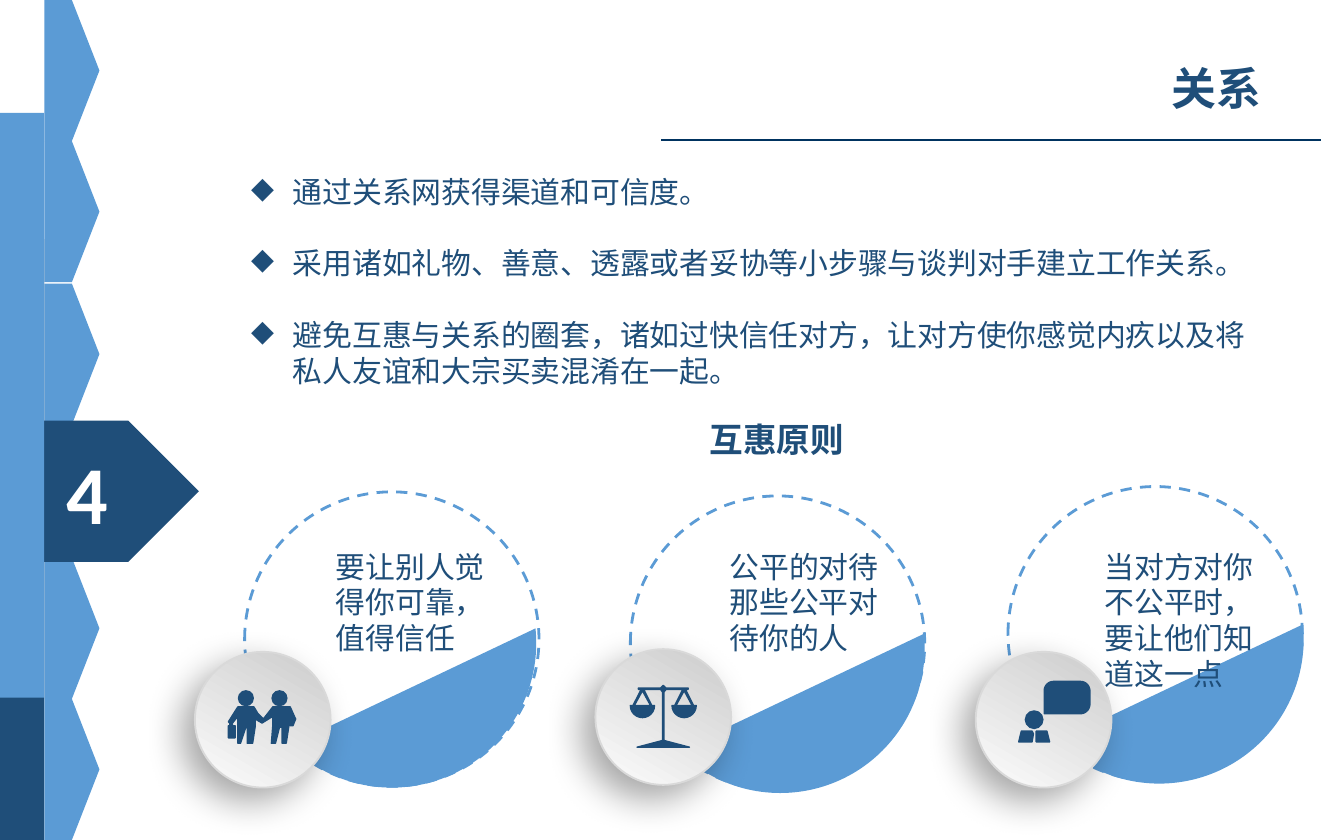
import math
import pptx
import pptx.util
import pptx.dml.color
import pptx.enum.dml
import pptx.enum.shapes
import pptx.oxml
import pptx.oxml.ns

UNIT = pptx.util.Inches(0.1)
COLS, ROWS = 100, 62.5
KIND = pptx.enum.shapes.MSO_SHAPE
HUES = {"blue": "5B9BD5", "navy": "1F4E79", "rule": "003360", "white": "FFFFFF",
        "grey": "CCCCCC", "pale": "FCFCFC", "rim": "D9D9D9", "black": "000000"}
HAN = "Noto Sans CJK SC"

CARDS = [
    {"chord": (18.4, 37.1), "ring": (18.2, 36.6), "disc": (14.5, 48.5),
     "text": (24, 9.1), "icon": "hands", "words": "要让别人觉得你可靠，值得信任"},
    {"chord": (47.3, 37.5), "ring": (46.9, 36.9), "disc": (44.3, 48.3),
     "text": (53.3, 9.1), "icon": "scale", "words": "公平的对待那些公平对待你的人"},
    {"chord": (75.5, 36.8), "ring": (75, 36.2), "disc": (72.6, 48.5),
     "text": (81.2, 11.8), "icon": "speech", "words": "当对方对你不公平时，要让他们知道这一点"},
]
POINTS = [
    "通过关系网获得渠道和可信度。",
    "采用诸如礼物、善意、透露或者妥协等小步骤与谈判对手建立工作关系。",
    "避免互惠与关系的圈套，诸如过快信任对方，让对方使你感觉内疚以及将私人友谊和大宗买卖混淆在一起。",
]


def grid(*cells):
    return [round(cell * UNIT) for cell in cells]


def hue(name):
    return pptx.dml.color.RGBColor.from_string(HUES[name])


def node(text):
    return pptx.oxml.parse_xml(text.replace(">", f" {pptx.oxml.ns.nsdecls('a')}>", 1))


def paint(item, fill=None, line=None, width=1):
    item.shadow.inherit = False
    if fill:
        item.fill.solid()
        item.fill.fore_color.rgb = hue(fill)
    else:
        item.fill.background()
    if line:
        item.line.color.rgb = hue(line)
        item.line.width = pptx.util.Pt(width)
    else:
        item.line.fill.background()


def block(page, kind, box, **look):
    item = page.shapes.add_shape(kind, *grid(*box))
    paint(item, **look)
    return item


def label(page, box, lines, size, bold=False, wrap=True, font=HAN, tint="navy", mark=None):
    frame = page.shapes.add_textbox(*grid(*box)).text_frame
    frame.word_wrap = wrap
    frame.text = "\n".join(lines)
    for place, para in enumerate(frame.paragraphs):
        if font == HAN:
            para.line_spacing = pptx.util.Pt(size * 1.2)
        if place:
            para.space_before = pptx.util.Pt(size * 1.2)
        if mark:
            props = para._p.get_or_add_pPr()
            props.set("marL", str(grid(3.1)[0]))
            props.set("indent", str(grid(-3.1)[0]))
            props.append(node(f'<a:buChar char="{mark}"></a:buChar>'))
        for run in para.runs:
            run.font.size = pptx.util.Pt(size)
            run.font.bold = bold
            run.font.name = font
            run.font.color.rgb = hue(tint)
            run._r.get_or_add_rPr().append(node(f'<a:ea typeface="{font}"></a:ea>'))


def arc(x, y, size, start, end):
    steps = 12
    turns = [math.radians(start + (end - start) * n / steps) for n in range(steps + 1)]
    return [(x + size * math.cos(t), y + size * math.sin(t)) for t in turns]


def flip(dots, axis):
    return [(2 * axis - x, y) for x, y in reversed(dots)]


def hands():
    body = [(3.2, 4.1), (4.4, 4.1), (4.7, 4.6), (5.1, 5), (5.8, 4.1), (7.1, 4.1),
            (7.5, 5), (7.3, 5.5), (7.1, 5.5), (7.1, 5.1), (7, 4.8), (7, 5.5),
            (6.8, 6.8), (6.5, 6.8), (6.5, 5.6), (6.3, 5.6), (6, 6.8), (5.7, 6.8),
            (5.8, 5.5), (5.8, 4.8), (5, 5.3), (4.5, 5), (4.5, 5.5), (4.3, 6.8),
            (3.9, 6.8), (3.9, 5.6), (3.8, 5.6), (3.4, 6.8), (3.2, 6.8), (3.2, 4.8),
            (2.8, 5.3), (2.8, 5.5), (3, 5.5), (3, 6.4), (2.5, 6.4), (2.5, 5.5),
            (2.6, 5.5), (2.6, 5.3), (2.5, 5.2)]
    return [body] + [arc(x, 3.45, 0.55, 0, 360) for x in (3.8, 6.3)]


def scale():
    axis = 5.05
    hole = [(6.6, 3.1), (6, 4.2), (7.2, 4.2)]
    half = [(5.05, 2.7), (5.25, 2.9), (6.9, 2.9), (6.9, 3), (6.7, 3), (7.3, 4.2),
            *arc(6.6, 4.2, 0.9, 0, 180), (5.9, 4.2), (6.5, 3), (5.25, 3),
            (5.1, 3.2), (5.1, 6.8), (7, 7.3)]
    return [hole, flip(hole, axis), half + flip(half, axis)]


def speech():
    bubble = [*arc(5.8, 2.9, 0.7, 180, 270), *arc(7.8, 2.9, 0.7, 270, 360),
              *arc(7.8, 3.9, 0.7, 0, 90), (5.1, 4.6)]
    left = [(4.2, 6.7), (4.3, 6.1), (4.2, 5.9), (3.4, 5.9), (3.2, 6.7)]
    right = [(5.5, 6.7), (5.3, 5.9), (4.5, 5.9), (4.5, 6.7)]
    return [bubble, arc(4.35, 5.05, 0.65, 0, 360), left, right]


ICONS = {"hands": hands, "scale": scale, "speech": speech}


def icon(page, name, left, top):
    paths = [[grid(left + x, top + y) for x, y in dots] for dots in ICONS[name]()]
    pen = page.shapes.build_freeform(*paths[0][0])
    for place, dots in enumerate(paths):
        if place:
            pen.move_to(*dots[0])
        pen.add_line_segments(dots[1:], close=True)
    paint(pen.convert_to_shape(), fill="navy", line="navy", width=0.75)


def disc(page, left, top):
    item = block(page, KIND.OVAL, (left, top, 10.1, 10.1), line="rim")
    item.fill.gradient()
    item.fill.gradient_angle = 240
    for stop, (spot, name) in zip(item.fill.gradient_stops, ((0, "grey"), (1, "pale"))):
        stop.position = spot
        stop.color.rgb = hue(name)
    glow = item._element.spPr.find(pptx.oxml.ns.qn("a:effectLst"))
    glow.append(node(
        f'<a:outerShdw blurRad="{pptx.util.Pt(20)}" dist="{pptx.util.Pt(10)}" '
        f'dir="{136 * 60000}" algn="ctr" rotWithShape="0"><a:srgbClr val="{HUES["black"]}">'
        '<a:alpha val="34000"/></a:srgbClr></a:outerShdw>'))


def card(page, data):
    slice_ = block(page, KIND.CHORD, (*data["chord"], 21.5, 21.5), fill="blue")
    slice_.adjustments[0] = 77.49
    slice_.adjustments[1] = 162
    slice_.rotation = 225
    ring = block(page, KIND.OVAL, (*data["ring"], 21.9, 21.9), line="blue", width=1.5)
    ring.line.dash_style = pptx.enum.dml.MSO_LINE.DASH
    disc(page, *data["disc"])
    icon(page, data["icon"], *data["disc"])
    left, high = data["text"]
    label(page, (left, 40.3, 13.9, high), [data["words"]], 16)


def side(page):
    for top in (0, 10.5, 21.1, 41.5, 52):
        block(page, KIND.PENTAGON, (3.3, top, 4.1, 10.5), fill="blue")
    block(page, KIND.PENTAGON, (3, 31.3, 11.8, 10.5), fill="navy")
    label(page, (4, 32.4, 6, 8.4), ["4"], 44, True, False, "Calibri", "white")
    block(page, KIND.RECTANGLE, (0, 17.8, 3.3, ROWS - 17.8), fill="navy")
    block(page, KIND.RECTANGLE, (0, 8.4, 3.3, 43.5), fill="blue")


def rule(page, left, right, top):
    line = page.shapes.add_connector(
        pptx.enum.shapes.MSO_CONNECTOR.STRAIGHT, *grid(left, top, right, top))
    line.line.color.rgb = hue("rule")
    line.line.width = pptx.util.Pt(1)
    line._element.spPr.append(node("<a:effectLst></a:effectLst>"))


def main():
    deck = pptx.Presentation()
    deck.slide_width, deck.slide_height = grid(COLS, ROWS)
    page = deck.slides.add_slide(deck.slide_layouts[6])
    side(page)
    rule(page, 49.2, 98.3, 10.4)
    label(page, (86.2, 4, 8.8, 5), ["关系"], 24, bold=True, wrap=False)
    label(page, (17.7, 12.4, 76.8, 19.9), POINTS, 16, mark="◆")
    label(page, (51.8, 30.7, 14.2, 4), ["互惠原则"], 18, bold=True)
    for data in CARDS:
        card(page, data)
    deck.save("out.pptx")


if __name__ == "__main__":
    main()
